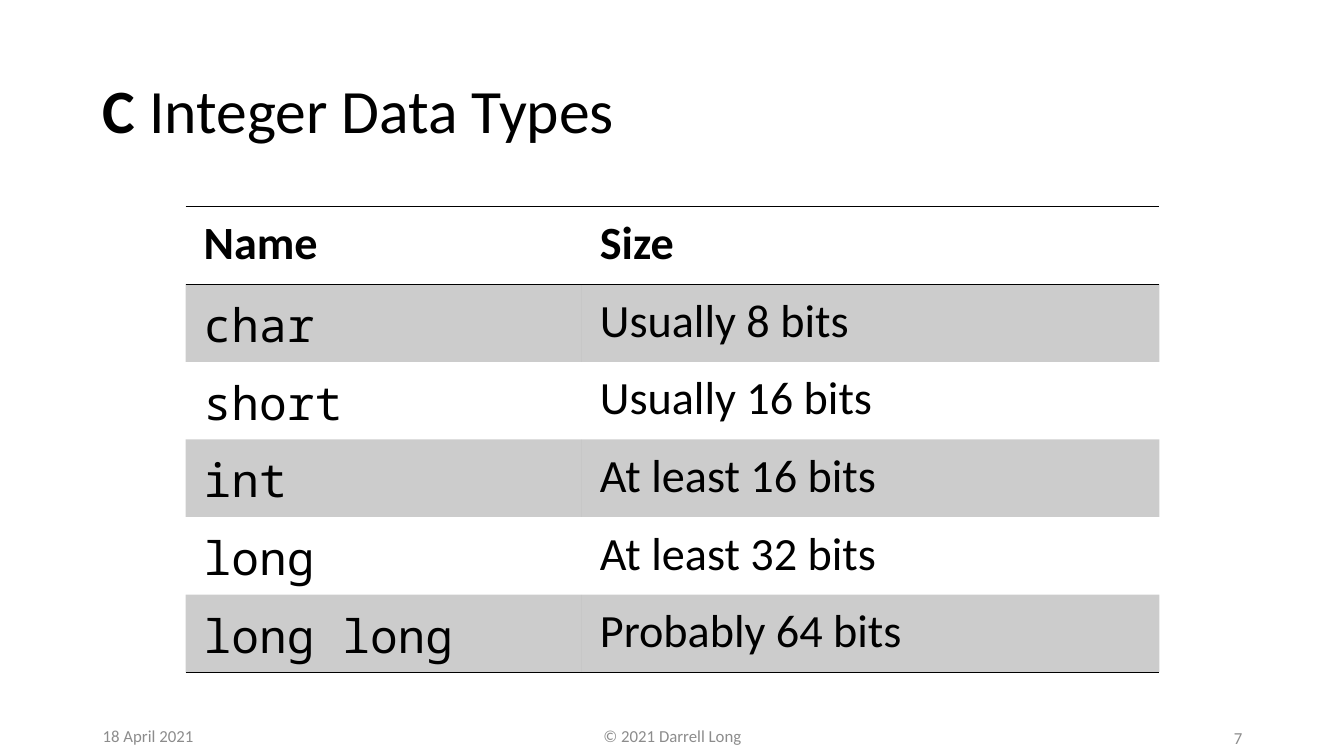
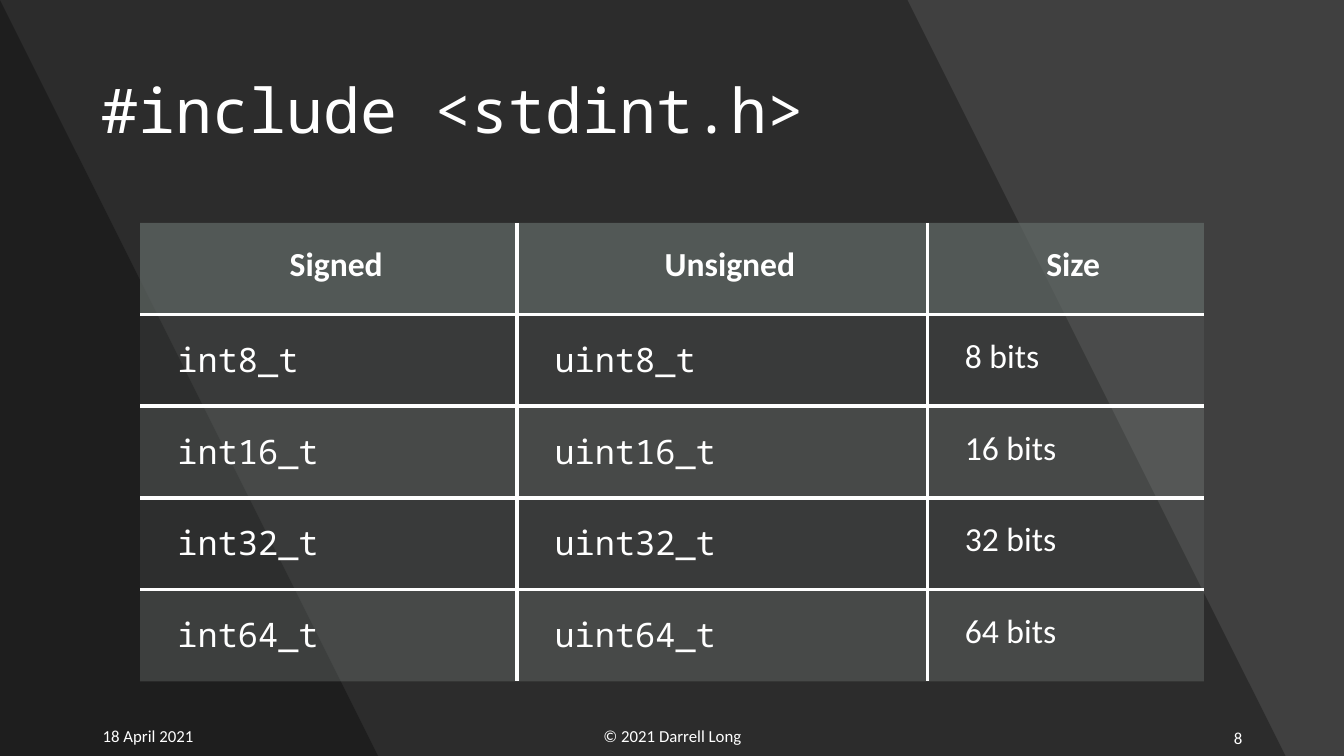
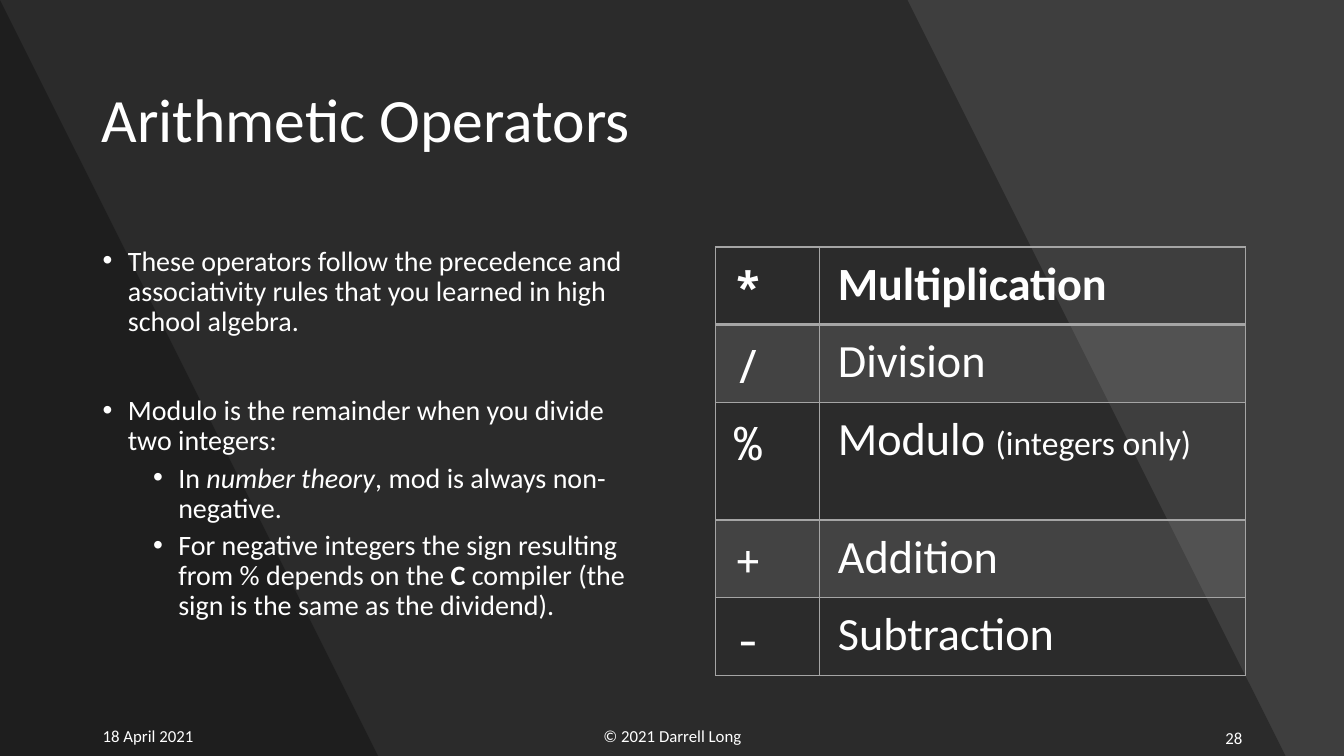
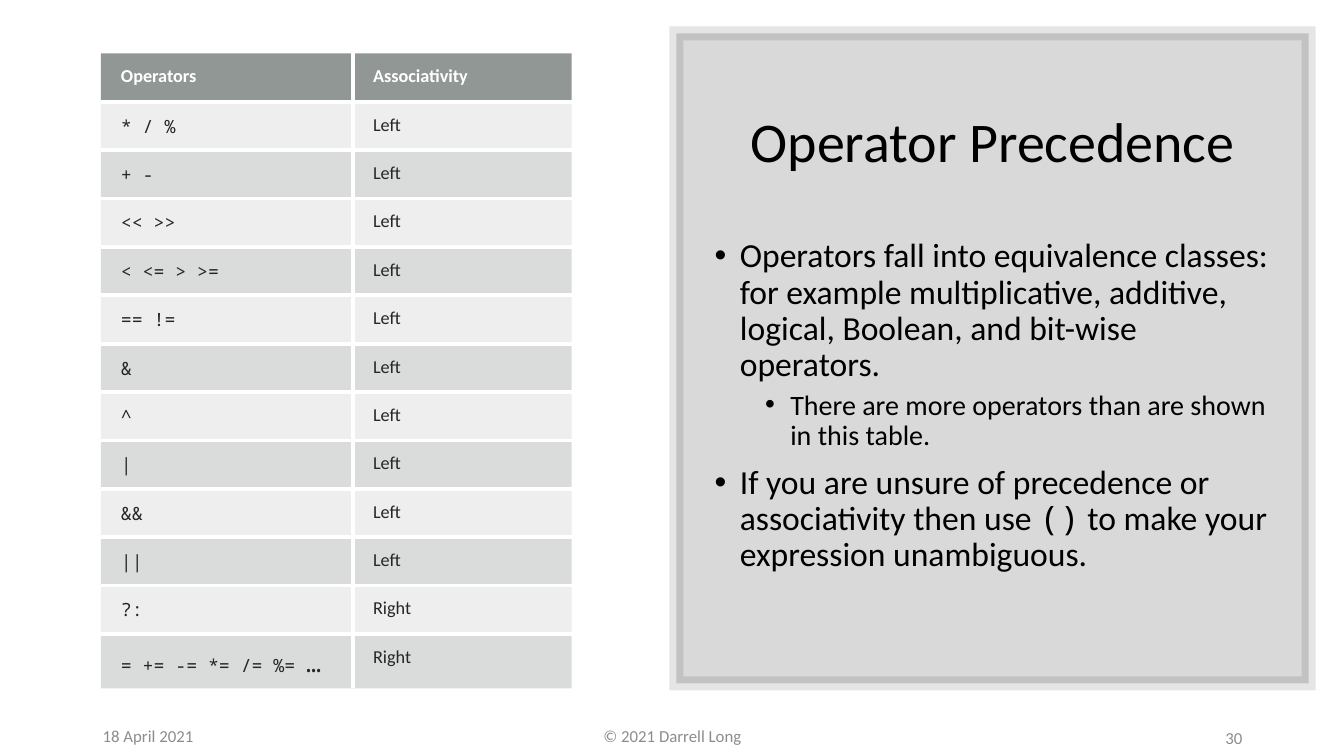
import pptx
import pptx.util
import pptx.dml.color
import pptx.enum.shapes
import pptx.enum.text
import pptx.oxml
import pptx.oxml.ns
from lxml import etree

Inches = pptx.util.Inches
Pt = pptx.util.Pt
RGB = pptx.dml.color.RGBColor
ALIGN = pptx.enum.text.PP_ALIGN
ANCHOR = pptx.enum.text.MSO_ANCHOR
qn = pptx.oxml.ns.qn

WIDTH, HEIGHT = 13.33, 7.5
SANS, MONO = "Calibri", "Noto Sans Mono"
BLACK, WHITE = RGB(0, 0, 0), RGB(255, 255, 255)
FOOTER_GREY, CELL_INK = RGB(0x8C, 0x8C, 0x8C), RGB(0x26, 0x26, 0x26)
CHARCOAL, GRAPHITE = RGB(0x40, 0x40, 0x40), RGB(0x45, 0x45, 0x45)
HEADER_GREEN, ROW_GREEN = RGB(0x63, 0x6B, 0x68), RGB(0x87, 0x8E, 0x8B)
GRID_GREY = RGB(0xA5, 0xA5, 0xA5)
NO_STYLE = "{2D5ABB26-0587-4C30-8999-92F81FD0307C}"

CODE = {"name": MONO}
BANDS = [(9.42, 12.89), (0.44, 3.92)]
FOOTERS = [
    ("© 2021 Darrell Long", (4.42, 7.1, 4.5, 0.4), ALIGN.CENTER),
    (None, (9.42, 7.12, 3, 0.4), ALIGN.RIGHT),
    ("18 April 2021", (0.92, 7.1, 3, 0.4), ALIGN.LEFT),
]

GREEN_GRID = {
    "header_fill": (HEADER_GREEN, 70),
    "row_fills": [(ROW_GREEN, 15), (ROW_GREEN, 30)],
    "rule": WHITE,
    "edges": {"header": 3, "across": 3, "down": 3},
}
RULED = {
    "size": 33, "insets": (0.18, 0.09, 0.18, 0.09), "code_columns": 1,
    "header_fill": None, "row_height": 0.77,
}

INTEGER_TYPES = {
    **RULED, "at": (1.84, 2.05), "columns": [3.93, 5.73], "code_from": 1, "ink": BLACK,
    "row_fills": [(BLACK, 20), None], "rule": BLACK,
    "edges": {"top": 1, "header": 1, "bottom": 1},
    "rows": [
        ("Name", "Size"), ("char", "Usually 8 bits"), ("short", "Usually 16 bits"),
        ("int", "At least 16 bits"), ("long", "At least 32 bits"),
        ("long long", "Probably 64 bits"),
    ],
}
FIXED_WIDTH_TYPES = {
    **GREEN_GRID, "at": (1.39, 2.21), "columns": [3.74, 4.07, 2.74], "row_height": 0.91,
    "size": 24, "insets": (0.37, 0.22, 0.22, 0.22), "code_columns": 2, "code_from": 1,
    "ink": WHITE, "header_align": ALIGN.CENTER,
    "rows": [("Signed", "Unsigned", "Size")]
    + [(f"int{bits}_t", f"uint{bits}_t", f"{bits} bits") for bits in (8, 16, 32, 64)],
}
ARITHMETIC = {
    **RULED, "at": (7.1, 2.45), "columns": [1.03, 4.22], "code_from": 0, "ink": WHITE,
    "tall_rows": {2: 1.17}, "row_fills": [(GRID_GREY, 20), None], "rule": GRID_GREY,
    "edges": {"top": 1, "header": 2, "across": 1, "bottom": 1, "side": 1, "down": 1},
    "rows": [
        ("*", "Multiplication"), ("/", "Division"),
        ("%", [("Modulo ", {}), ("(integers only)", {"size": Pt(24)})]),
        ("+", "Addition"), ("-", "Subtraction"),
    ],
}
LEFT_OPERATORS = ["* / %", "+ -", "<< >>", "< <= > >=", "== !=", "&", "^", "|", "&&", "||"]
PRECEDENCE = {
    **GREEN_GRID, "at": (1, 0.53), "columns": [2.5, 2.17], "row_height": 0.48,
    "size": 13, "insets": (0.2, 0.12, 0.12, 0.12), "code_columns": 1, "code_from": 1,
    "ink": CELL_INK, "header_ink": WHITE,
    "rows": [("Operators", "Associativity")]
    + [(operators, "Left") for operators in LEFT_OPERATORS]
    + [("?:", "Right"),
       ([("= += -= *= /= %= ", {}), ("…", {"size": Pt(18)})], "Right")],
}

OPERATOR_NOTES = {
    "at": (0.92, 2.4, 5.4, 4.36),
    "paragraphs": [
        (0, 20, 0, "These operators follow the precedence and associativity rules that "
                   "you learned in high school algebra."),
        (0, 20, 42, "Modulo is the remainder when you divide two integers:"),
        (1, 20, 5, [("In ", {}), ("number theory", {"italic": True}),
                    (", mod is always non-negative.", {})]),
        (1, 20, 5, [("For negative integers the sign resulting from % depends on the ", {}),
                    ("C", {"bold": True}),
                    (" compiler (the sign is the same as the dividend).", {})]),
    ],
}
PRECEDENCE_NOTES = {
    "at": (6.99, 2.32, 5.73, 4.13),
    "paragraphs": [
        (0, 24, 0, "Operators fall into equivalence classes: for example multiplicative, "
                   "additive, logical, Boolean, and bit-wise operators."),
        (1, 20, 5, "There are more operators than are shown in this table."),
        (0, 24, 10, [("If you are unsure of precedence or associativity then use ", {}),
                     ("()", CODE), (" to make your expression unambiguous.", {})]),
    ],
}

SLIDES = [
    {"number": 7, "title": [("C", {"bold": True}), (" Integer Data Types", {})],
     "title_at": (0.92, 0.4, 11.5, 1.45), "table": INTEGER_TYPES},
    {"number": 8, "title": [("#include <stdint.h>", CODE)], "dark": CHARCOAL,
     "title_at": (0.91, 0.4, 11.51, 1.45), "table": FIXED_WIDTH_TYPES},
    {"number": 28, "title": "Arithmetic Operators", "dark": GRAPHITE, "veil": 9,
     "title_at": (0.91, 0.49, 11.51, 1.45), "notes": OPERATOR_NOTES, "table": ARITHMETIC},
    {"number": 30, "title": "Operator Precedence", "panel": (6.71, 0.33, 6.27, 6.45),
     "title_at": (6.99, 0.7, 5.71, 1.47), "title_size": 40, "title_align": ALIGN.CENTER,
     "notes": PRECEDENCE_NOTES, "table": PRECEDENCE},
]


def inches(lengths):
    return [Inches(length) for length in lengths]


def tint(fill, holder, color, opacity):
    fill.solid()
    fill.fore_color.rgb = color
    solid = holder.find(qn("a:solidFill"))
    etree.SubElement(solid[0], qn("a:alpha"), val=str(opacity * 1000))


def write(paragraph, content, ink, **base):
    runs = [(content, {})] if isinstance(content, str) else content
    for text, changes in runs:
        run = paragraph.add_run()
        run.text = text
        for key, value in {"name": SANS, **base, **changes}.items():
            setattr(run.font, key, value)
        run.font.color.rgb = ink


def text_frame(slide, at, anchor):
    frame = slide.shapes.add_textbox(*inches(at)).text_frame
    frame.word_wrap = True
    frame.vertical_anchor = anchor
    return frame


def add_line(slide, at, content, ink, size, align, spacing=1.0):
    paragraph = text_frame(slide, at, ANCHOR.MIDDLE).paragraphs[0]
    paragraph.alignment = align
    paragraph.line_spacing = spacing
    write(paragraph, content, ink, size=Pt(size))


def add_notes(slide, notes, ink):
    frame = text_frame(slide, notes["at"], ANCHOR.TOP)
    for index, (level, size, before, content) in enumerate(notes["paragraphs"]):
        paragraph = frame.add_paragraph() if index else frame.paragraphs[0]
        paragraph.level = level
        props = paragraph._p.get_or_add_pPr()
        props.set("marL", str(Inches(0.25 + 0.5 * level)))
        props.set("indent", str(Inches(-0.25)))
        etree.SubElement(props, qn("a:buFont"), typeface="Arial")
        etree.SubElement(props, qn("a:buChar"), char="•")
        paragraph.line_spacing = 0.9
        paragraph.space_before = Pt(before)
        write(paragraph, content, ink, size=Pt(size))


def add_rectangle(slide, at, opacity):
    kind = pptx.enum.shapes.MSO_SHAPE.RECTANGLE
    rectangle = slide.shapes.add_shape(kind, *inches(at))
    rectangle.shadow.inherit = False
    tint(rectangle.fill, rectangle._element.spPr, BLACK, opacity)
    rectangle.line.fill.background()
    return rectangle


def add_panel(slide, at):
    panel = add_rectangle(slide, at, 15)
    panel.line.width = Pt(10)
    outline = panel._element.spPr.find(qn("a:ln"))
    tint(panel.line.fill, outline, BLACK, 10)
    etree.SubElement(outline, qn("a:miter"), lim="800000")


def add_bands(slide):
    for top_x, bottom_x in BANDS:
        builder = slide.shapes.build_freeform(0, 0, scale=Inches(1))
        builder.add_line_segments([(top_x, 0), (bottom_x, HEIGHT), (0, HEIGHT)], close=True)
        band = builder.convert_to_shape()
        band.shadow.inherit = False
        tint(band.fill, band._element.spPr, BLACK, 30)
        band.line.fill.background()


def draw_borders(props, widths, color):
    for side, width in widths.items():
        border = etree.SubElement(props, qn(f"a:ln{side}"), w=str(Pt(width)))
        if width:
            solid = etree.SubElement(border, qn("a:solidFill"))
            etree.SubElement(solid, qn("a:srgbClr"), val=str(color))
        else:
            etree.SubElement(border, qn("a:noFill"))


def border_widths(edges, row, column, last_row, last_column):
    def width(name):
        return edges.get(name, 0)

    def rule_under(index):
        return width("bottom" if index == last_row else "header" if index == 0 else "across")

    return {
        "L": width("down" if column else "side"),
        "R": width("side" if column == last_column else "down"),
        "T": rule_under(row - 1) if row else width("top"),
        "B": rule_under(row),
    }


def add_table(slide, spec_):
    rows, columns = spec_["rows"], spec_["columns"]
    tall_rows = spec_.get("tall_rows", {})
    heights = [tall_rows.get(row, spec_["row_height"]) for row in range(len(rows))]
    frame = slide.shapes.add_table(
        len(rows), len(columns), *inches((*spec_["at"], sum(columns), sum(heights))))
    table = frame.table
    table._tbl.tblPr.find(qn("a:tableStyleId")).text = NO_STYLE
    table.horz_banding = False
    for column, length in zip(table.columns, columns):
        column.width = Inches(length)
    for row, length in zip(table.rows, heights):
        row.height = Inches(length)
    sides = ("margin_left", "margin_top", "margin_right", "margin_bottom")
    margins = dict(zip(sides, inches(spec_["insets"])))
    for r, contents in enumerate(rows):
        is_header = r == 0
        shade = spec_["header_fill"] if is_header else spec_["row_fills"][(r - 1) % 2]
        ink = spec_.get("header_ink", spec_["ink"]) if is_header else spec_["ink"]
        for c, content in enumerate(contents):
            cell = table.cell(r, c)
            for key, value in margins.items():
                setattr(cell, key, value)
            props = cell._tc.get_or_add_tcPr()
            widths = border_widths(spec_["edges"], r, c, len(rows) - 1, len(columns) - 1)
            draw_borders(props, widths, spec_["rule"])
            if shade:
                tint(cell.fill, props, *shade)
            else:
                cell.fill.background()
            paragraph = cell.text_frame.paragraphs[0]
            if is_header:
                paragraph.alignment = spec_.get("header_align", ALIGN.LEFT)
            is_code = c < spec_["code_columns"] and r >= spec_["code_from"]
            write(paragraph, content, ink, size=Pt(spec_["size"]), bold=is_header,
                  name=MONO if is_code else SANS)


def add_slide(deck, content):
    slide = deck.slides.add_slide(deck.slide_layouts[6])
    dark = content.get("dark")
    ink = WHITE if dark else BLACK
    slide.background.fill.solid()
    slide.background.fill.fore_color.rgb = dark or WHITE
    if "veil" in content:
        add_rectangle(slide, (0, 0, WIDTH, HEIGHT), content["veil"])
    if dark:
        add_bands(slide)
    if "panel" in content:
        add_panel(slide, content["panel"])
    add_line(slide, content["title_at"], content["title"], ink,
             content.get("title_size", 44), content.get("title_align", ALIGN.LEFT), 0.9)
    if "notes" in content:
        add_notes(slide, content["notes"], ink)
    add_table(slide, content["table"])
    for text, at, align in FOOTERS:
        add_line(slide, at, text or str(content["number"]),
                 WHITE if dark else FOOTER_GREY, 12, align)


def main():
    deck = pptx.Presentation()
    deck.slide_width, deck.slide_height = inches((WIDTH, HEIGHT))
    for content in SLIDES:
        add_slide(deck, content)
    deck.save("out.pptx")


if __name__ == "__main__":
    main()
